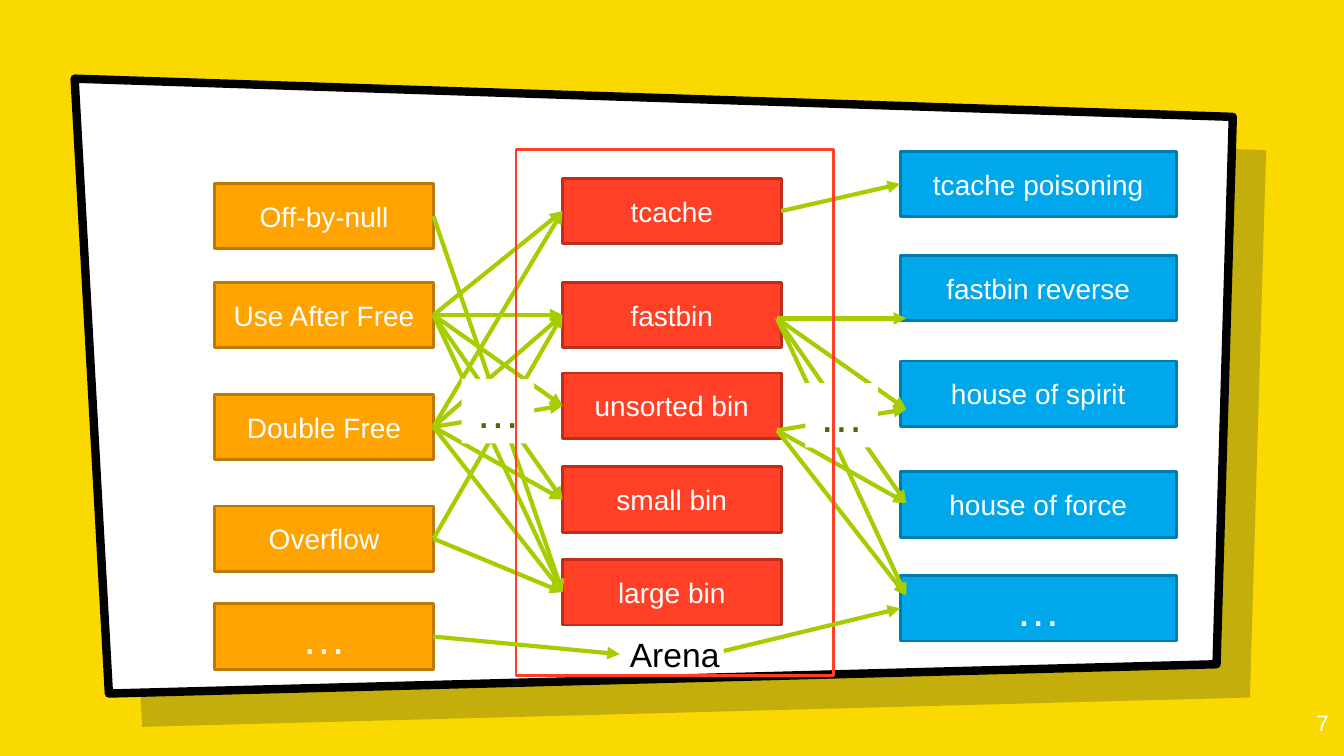
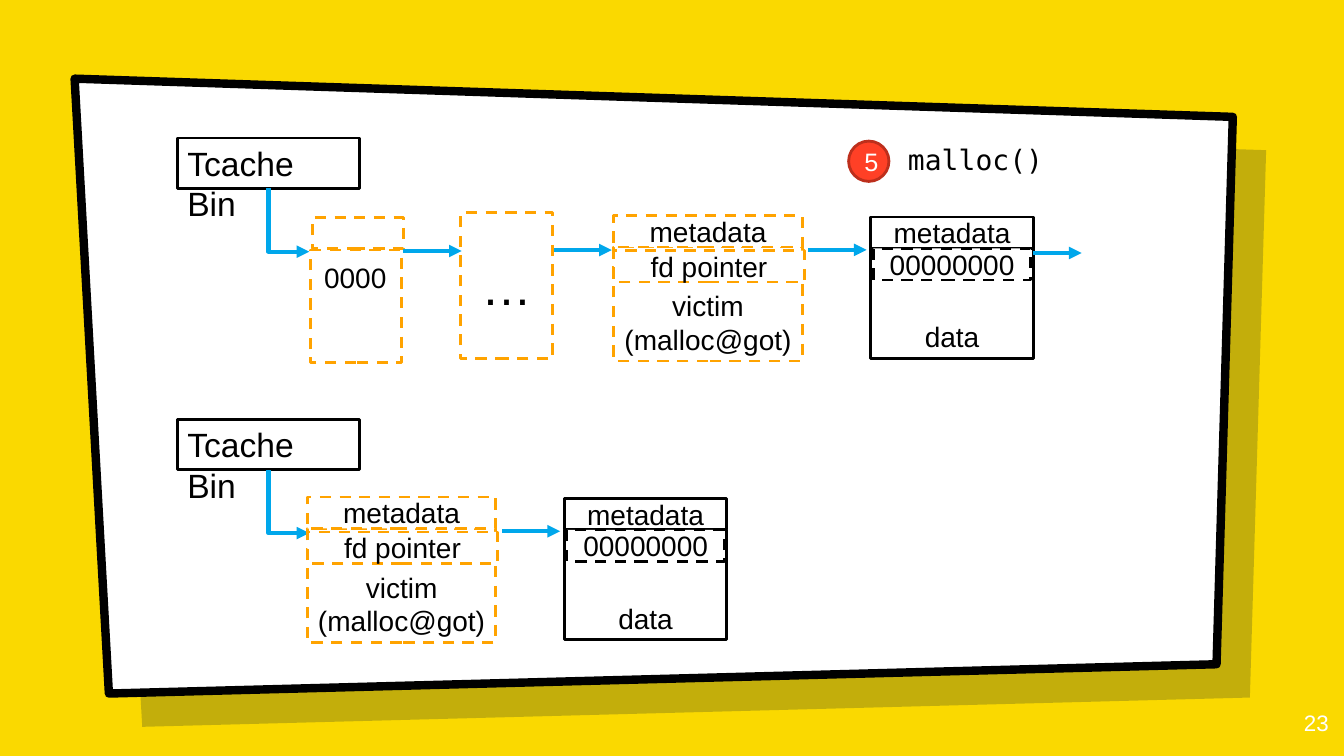
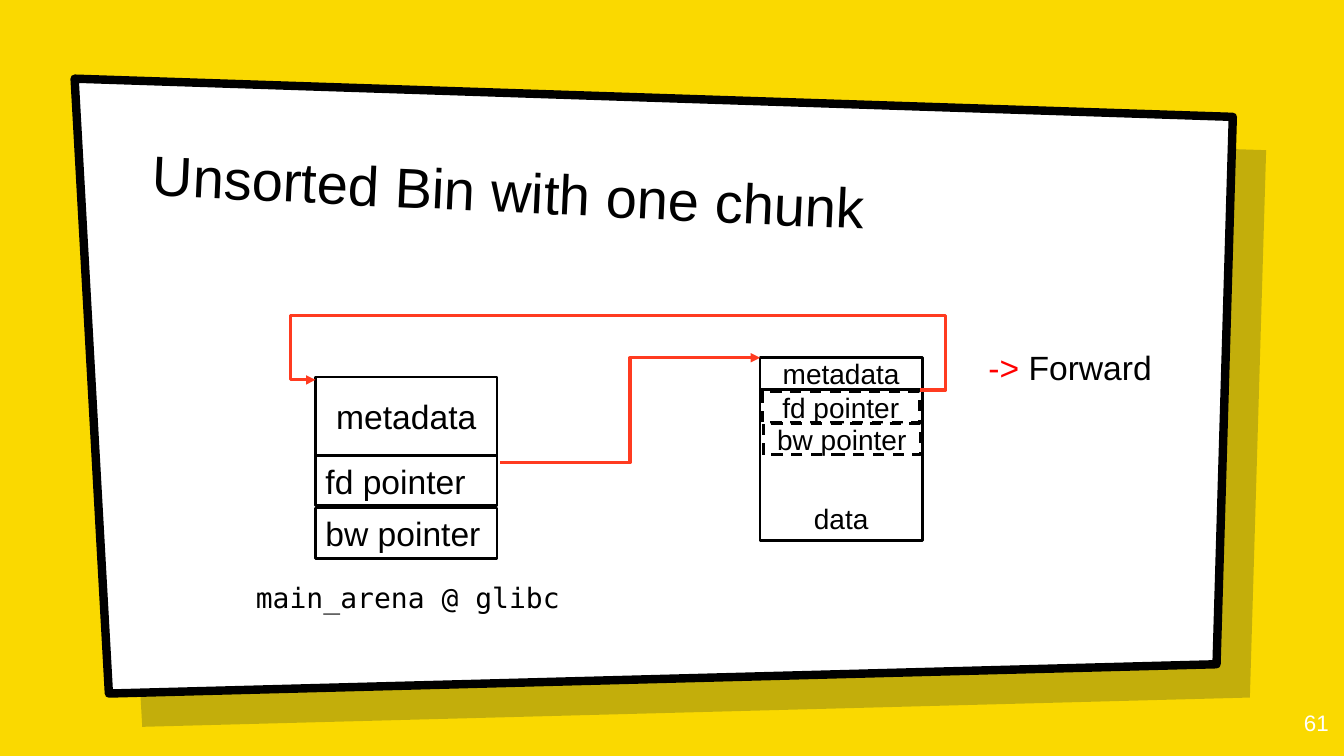
from dataclasses import dataclass

import pptx
import pptx.dml.color
import pptx.enum.dml
import pptx.enum.shapes
import pptx.enum.text
import pptx.oxml
import pptx.util
from pptx.oxml.ns import qn

Pt = pptx.util.Pt
SHAPE = pptx.enum.shapes.MSO_SHAPE
CONNECTOR = pptx.enum.shapes.MSO_CONNECTOR
ALIGN = pptx.enum.text.PP_ALIGN
ANCHOR = pptx.enum.text.MSO_ANCHOR
DASH = pptx.enum.dml.MSO_LINE.DASH
TOP, BOTTOM, LEFT, RIGHT = 0, 2, 1, 3


@dataclass(frozen=True)
class Theme:
    yellow: str = "FAD900"
    shade: str = "001936"
    white: str = "FFFFFF"
    black: str = "000000"
    orange: str = "FFA300"
    orange_edge: str = "BD7900"
    red: str = "FF4026"
    red_edge: str = "BD2F1C"
    blue: str = "00A7EB"
    blue_edge: str = "007CAE"
    lime: str = "A6CD02"
    olive: str = "536601"
    pointer: str = "FF3B20"
    accent: str = "FF0000"
    sans: str = "Arial"
    mono: str = "DejaVu Sans Mono"
    number: int = 16
    badge: int = 18
    body: int = 20
    label: int = 24
    dots: int = 32
    big_dots: int = 36
    title: int = 40


T = Theme()


def rgb(value):
    return pptx.dml.color.RGBColor.from_string(value)


def apply(target, values):
    for name, value in values.items():
        setattr(target, name, value)


def paint(sp, fill=None, edge=None, width=2, dash=False):
    if fill:
        sp.fill.solid()
        sp.fill.fore_color.rgb = rgb(fill)
    else:
        sp.fill.background()
    if edge:
        sp.line.color.rgb = rgb(edge)
        sp.line.width = Pt(width)
        if dash:
            sp.line.dash_style = DASH.DASH
    else:
        sp.line.fill.background()
    sp.shadow.inherit = False


def write(sp, text, color=T.black, size=T.body, font=T.sans, align=ALIGN.CENTER,
          anchor=ANCHOR.MIDDLE, inset=3.6):
    tf = sp.text_frame
    apply(tf, {"word_wrap": True, "vertical_anchor": anchor,
               "margin_top": Pt(inset), "margin_bottom": Pt(inset),
               "margin_left": Pt(7.2), "margin_right": Pt(7.2)})
    for i, line in enumerate(text.split("\n")):
        p = tf.paragraphs[0] if i == 0 else tf.add_paragraph()
        p.alignment = align
        add_run(p, line, color, size, font)


def add_run(p, text, color, size, font=T.sans):
    r = p.add_run()
    r.text = text
    apply(r.font, {"name": font, "size": Pt(size)})
    r.font.color.rgb = rgb(color)


def box(s, x, y, w, h, text="", fill=T.white, edge=T.black, dash=False,
        shape=SHAPE.RECTANGLE, **text_format):
    sp = s.shapes.add_shape(shape, Pt(x), Pt(y), Pt(w), Pt(h))
    paint(sp, fill, edge, dash=dash)
    if text:
        write(sp, text, **text_format)
    return sp


def label(s, x, y, w, h, text, **text_format):
    sp = s.shapes.add_textbox(Pt(x), Pt(y), Pt(w), Pt(h))
    write(sp, text, **{"align": ALIGN.LEFT, "anchor": ANCHOR.TOP, **text_format})
    return sp


def arrow(s, start, end, color, width=3, kind=CONNECTOR.STRAIGHT, arrow_end="tailEnd"):
    c = s.shapes.add_connector(kind, *(Pt(v) for v in (*start, *end)))
    c.line.color.rgb = rgb(color)
    c.line.width = Pt(width)
    tip = c.line._get_or_add_ln().makeelement(qn(f"a:{arrow_end}"), {"type": "triangle"})
    c.line._get_or_add_ln().append(tip)
    c._element.spPr.append(c._element.makeelement(qn("a:effectLst"), {}))
    return c


def link(s, source, target):
    c = arrow(s, (0, 0), (1, 1), T.lime)
    c.begin_connect(source, RIGHT)
    c.end_connect(target, LEFT)


def bend(c, preset, adjustments=()):
    geometry = c._element.spPr.find(qn("a:prstGeom"))
    geometry.set("prst", preset)
    values = geometry.get_or_add_avLst() if hasattr(geometry, "get_or_add_avLst") else geometry[0]
    for i, value in enumerate(adjustments, 1):
        values.append(values.makeelement(
            qn("a:gd"), {"name": f"adj{i}", "fmla": f"val {round(value * 100000)}"}))


def panel(s, offset, fill, edge=None):
    corners = [(53.3, 56.2), (880.6, 83.5), (869, 474.5), (77.8, 495.4)]
    points = [(Pt(x + offset), Pt(y + offset)) for x, y in corners]
    builder = s.shapes.build_freeform(*points[0])
    builder.add_line_segments(points[1:], close=True)
    sp = builder.convert_to_shape()
    paint(sp, fill, edge, 6)
    return sp


def new_slide(prs, number):
    s = prs.slides.add_slide(prs.slide_layouts[6])
    shade = panel(s, 23.8, T.shade)
    color = shade._element.spPr.find(qn("a:solidFill"))[0]
    color.append(color.makeelement(qn("a:alpha"), {"val": "22000"}))
    panel(s, 0, T.white, T.black)
    label(s, 898.6, 499, 57.6, 41, number, color=T.white, size=T.number,
          align=ALIGN.RIGHT, inset=7.2)
    return s


def column(s, x, w, rows, fill, edge):
    return [box(s, x, y, w, 46.8, text, fill, edge, color=T.white,
                size=T.dots if text == "…" else T.body) for text, y in rows]


def chunk(s, x, y, w, body, body_h, fields, edge=T.black, dash=False):
    box(s, x, y + 22.5, w, body_h, body, edge=edge, dash=dash, anchor=ANCHOR.BOTTOM)
    box(s, x, y, w, 22.5, "metadata", edge=edge, dash=dash)
    for text, dx, dy, field_w in fields:
        box(s, x + dx, y + dy, field_w, 22.5, text, edge=edge, dash=True)


def bin_head(s, y):
    head = box(s, 126.7, y, 130.3, 36, "Tcache Bin", size=T.label,
               align=ALIGN.LEFT, anchor=ANCHOR.TOP)
    c = arrow(s, (221, y + 81.2), (191.9, y + 36), T.blue,
              kind=CONNECTOR.ELBOW, arrow_end="headEnd")
    c.end_connect(head, BOTTOM)
    bend(c, "bentConnector2")


def bin_tail(s, x, y):
    chunk(s, x, y, 134.6, "victim\n(malloc@got)", 81.4,
          [("fd pointer", 0, 25, 136)], T.orange, True)
    chunk(s, x + 183.6, y + 1, 116, "data", 78.5, [("00000000", 1.8, 22.5, 112.4)])
    arrow(s, (x + 139, y + 24.5), (x + 180.5, y + 24.5), T.blue)


def techniques_slide(prs):
    s = new_slide(prs, "7")
    bugs = column(s, 153.4, 156.2, [
        ("Off-by-null", 131), ("Use After Free", 201.6), ("Double Free", 281.5),
        ("Overflow", 361.4), ("…", 431.3)], T.orange, T.orange_edge)
    bins = column(s, 401.8, 156.2, [
        ("tcache", 127.4), ("fastbin", 201.6), ("unsorted bin", 266.4),
        ("small bin", 333.4), ("large bin", 399.6)], T.red, T.red_edge)
    attacks = column(s, 643, 197.3, [
        ("tcache poisoning", 108), ("fastbin reverse", 182.2), ("house of spirit", 257.8),
        ("house of force", 337), ("…", 411.1)], T.blue, T.blue_edge)

    for bug, targets in zip(bugs, ([4], range(5), range(5), [1, 4])):
        for i in targets:
            link(s, bug, bins[i])
    link(s, bins[0], attacks[0])
    ends = [227.5, 292.3, 359.3, 425.5]
    for start, targets in ((227.5, ends), (307.4, ends[1:])):
        for end in targets:
            arrow(s, (555.1, start), (647.3, end), T.lime)
    for x, y in ((329.8, 270.7), (575.3, 273.6)):
        box(s, x, y, 51.8, 46.1, "…", edge=None, color=T.olive, size=T.dots,
            anchor=ANCHOR.TOP)

    box(s, 368.6, 106.6, 226.8, 375.8, fill=None, edge=T.red)
    arena = label(s, 442.8, 449.3, 82, 36, "Arena", size=T.label)
    link(s, bugs[4], arena)
    c = arrow(s, (517, 465), (643, 434), T.lime)
    c.end_connect(attacks[4], LEFT)


def malloc_slide(prs):
    s = new_slide(prs, "23")
    for y in (98.6, 299.6):
        bin_head(s, y)
    bin_tail(s, 438.5, 154)
    bin_tail(s, 219.6, 355)
    box(s, 329, 151.9, 65.5, 104.4, "…", edge=T.orange, dash=True, size=T.big_dots)
    box(s, 221.8, 178.6, 64.8, 80.6, edge=T.orange, dash=True)
    box(s, 223.2, 155.5, 64.8, 22.3, edge=T.orange, dash=True)
    label(s, 221, 179.3, 65.5, 38.2, "0000", align=ALIGN.CENTER, anchor=ANCHOR.MIDDLE)
    box(s, 606.2, 100.8, 28.8, 28.8, "5", T.red, T.red_edge, shape=SHAPE.OVAL,
        color=T.white, size=T.badge)
    box(s, 641.5, 95, 165.6, 38.2, "malloc()", edge=None, font=T.mono, align=ALIGN.LEFT)
    for x1, x2, y in ((288, 329.8, 179.3), (396, 437, 178.6), (738, 772.6, 180.7)):
        arrow(s, (x1, y), (x2, y), T.blue)


def unsorted_bin_slide(prs):
    s = new_slide(prs, "61")
    title = label(s, 102.2, 92.2, 738, 79.9, "Unsorted Bin with one chunk",
                  size=T.title, anchor=ANCHOR.BOTTOM, inset=7.2)
    title.rotation = 2.7
    chunk(s, 542.9, 255.6, 116, "data", 108,
          [("fd pointer", 1.5, 23.8, 112.4), ("bw pointer", 2.2, 46.8, 112.4)])
    for text, y in (("fd pointer", 325.4), ("bw pointer", 362.9)):
        box(s, 225.4, y, 129.6, 36, text, size=T.label, align=ALIGN.LEFT, anchor=ANCHOR.TOP)
    box(s, 225.4, 269.3, 129.6, 56.2, "metadata", size=T.label)
    label(s, 175.7, 411.1, 232.6, 31.7, "main_arena @ glibc", font=T.mono)

    arrow(s, (357.1, 330.5), (542.9, 255.6), T.pointer, 2.25, CONNECTOR.ELBOW)
    start, end, overhang, loop_top = (657.4, 278.6), (225.4, 271.4), 18, 225.4
    side = overhang / (start[0] - end[0])
    rise = (start[1] - loop_top) / (start[1] - end[1])
    c = arrow(s, start, end, T.pointer, 2.25, CONNECTOR.ELBOW)
    bend(c, "bentConnector5", (-side, rise, 1 + side))

    legend = label(s, 699, 240.5, 199.4, 108, "->", color=T.accent, size=T.label, inset=7.2)
    add_run(legend.text_frame.paragraphs[0], " Forward", T.black, T.label)


def main():
    prs = pptx.Presentation()
    apply(prs, {"slide_width": Pt(960), "slide_height": Pt(540)})
    background = prs.slide_master.background.fill
    background.solid()
    background.fore_color.rgb = rgb(T.yellow)
    techniques_slide(prs)
    malloc_slide(prs)
    unsorted_bin_slide(prs)
    prs.save("out.pptx")


if __name__ == "__main__":
    main()
